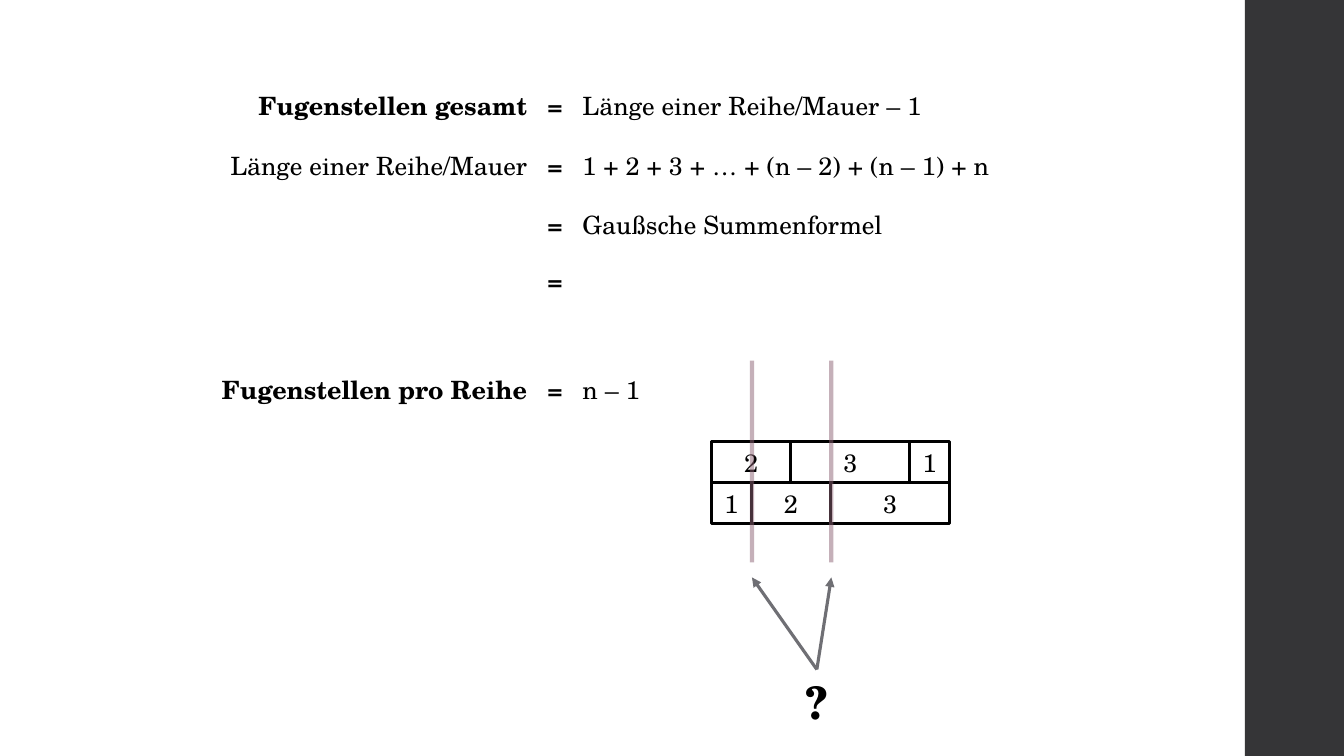
import pptx
import pptx.util
import pptx.dml.color
import pptx.enum.shapes
import pptx.enum.text
import pptx.oxml
import pptx.oxml.ns

COLOURS = {
    "text": "000000",
    "paper": "FFFFFF",
    "sidebar": "353537",
    "joint": "8D6374",
    "arrow": "6F6F74",
}
Cm = pptx.util.Cm
ALIGN = pptx.enum.text.PP_ALIGN

LINE_HEIGHT = 1.02
EQUALS_LEFT, EQUALS_WIDTH = 13.54, 0.89
# top, left term and its width, right term and its width, left term is bold
EQUATIONS = [
    (2.16, "Fugenstellen gesamt", 7.39, "Länge einer Reihe/Mauer – 1", 9.3, True),
    (3.66, "Länge einer Reihe/Mauer", 8.05,
     "1 + 2 + 3 + … + (n – 2) + (n – 1) + n", 10.85, False),
    (5.16, "", 0, "Gaußsche Summenformel", 8.15, False),
    (6.55, "", 0, "", 0, False),
    (9.3, "Fugenstellen pro Reihe", 8.31, "n – 1", 1.98, True),
]

WALL_LEFT, WALL_TOP = 17.93, 11.13
BRICK_UNIT, BRICK_HEIGHT = 1.0, 1.03
WALL_ROWS = [(2, 3, 1), (1, 2, 3)]
JOINT_XS = (18.95, 20.95)
JOINT_TOP, JOINT_BOTTOM = 9.09, 14.17
ARROW_TIP_Y = 14.55


def colour(name):
    return pptx.dml.color.RGBColor.from_string(COLOURS[name])


def add_xml(parent, tag, **attributes):
    child = parent.makeelement(pptx.oxml.ns.qn(tag), attributes)
    parent.append(child)
    return child


class SlideBuilder:
    font_name = "TeX Gyre Schola"

    def __init__(self, slide):
        self.slide = slide

    def set_text(self, shape, text, size=18, bold=False, align=ALIGN.LEFT, wrap=False):
        frame = shape.text_frame
        frame.word_wrap = wrap
        frame.auto_size = pptx.enum.text.MSO_AUTO_SIZE.SHAPE_TO_FIT_TEXT
        paragraph = frame.paragraphs[0]
        paragraph.alignment = align
        run = paragraph.add_run()
        run.text = text
        run.font.name = self.font_name
        run.font.size = pptx.util.Pt(size)
        run.font.bold = bold
        run.font.color.rgb = colour("text")

    def label(self, text, left, top, width, height=LINE_HEIGHT, **text_format):
        box = self.slide.shapes.add_textbox(Cm(left), Cm(top), Cm(width), Cm(height))
        self.set_text(box, text, **text_format)
        return box

    def rectangle(self, left, top, width, height, fill, outline=None):
        box = self.slide.shapes.add_shape(
            pptx.enum.shapes.MSO_SHAPE.RECTANGLE,
            Cm(left), Cm(top), Cm(width), Cm(height))
        box.shadow.inherit = False
        box.fill.solid()
        box.fill.fore_color.rgb = colour(fill)
        if outline:
            box.line.color.rgb = colour(outline)
            box.line.width = pptx.util.Pt(2.25)
        else:
            box.line.fill.background()
        return box

    def brick(self, length, left, top):
        box = self.rectangle(left, top, length * BRICK_UNIT, BRICK_HEIGHT,
                             "paper", outline="text")
        self.set_text(box, str(length), align=ALIGN.CENTER, wrap=True)

    def line(self, start, end, stroke, weight):
        connector = self.slide.shapes.add_connector(
            pptx.enum.shapes.MSO_CONNECTOR.STRAIGHT,
            *(Cm(value) for value in (*start, *end)))
        connector.line.color.rgb = colour(stroke)
        connector.line.width = pptx.util.Pt(weight)
        add_xml(connector._element.spPr, "a:effectLst")
        return connector

    def joint(self, x):
        """Draw a half-transparent vertical marker through the wall."""
        marker = self.line((x, JOINT_BOTTOM), (x, JOINT_TOP), "joint", 3)
        rgb = marker.line._ln.find(".//" + pptx.oxml.ns.qn("a:srgbClr"))
        add_xml(rgb, "a:alpha", val="50000")

    def arrow(self, source, tip):
        """Draw an arrow from the top centre of source to tip."""
        start = ((source.left + source.width / 2) / Cm(1), source.top / Cm(1))
        arrow = self.line(start, tip, "arrow", 2.25)
        arrow.begin_connect(source, 0)
        add_xml(arrow.line._ln, "a:tailEnd", type="triangle")


def main():
    deck = pptx.Presentation()
    deck.slide_width, deck.slide_height = Cm(33.87), Cm(19.05)
    builder = SlideBuilder(deck.slides.add_slide(deck.slide_layouts[6]))

    builder.rectangle(31.37, 0, 2.5, 19.05, "sidebar")

    for top, left_term, left_width, right_term, right_width, bold in EQUATIONS:
        if left_term:
            builder.label(left_term, EQUALS_LEFT - left_width, top, left_width,
                          bold=bold, align=ALIGN.RIGHT)
        builder.label("=", EQUALS_LEFT, top, EQUALS_WIDTH,
                      bold=True, align=ALIGN.CENTER)
        if right_term:
            builder.label(right_term, EQUALS_LEFT + EQUALS_WIDTH, top, right_width)

    for row, lengths in enumerate(WALL_ROWS):
        left = WALL_LEFT
        for length in lengths:
            builder.brick(length, left, WALL_TOP + row * BRICK_HEIGHT)
            left += length * BRICK_UNIT

    question = builder.label("?", 20.04, 16.87, 1.09, 1.62, size=32, bold=True)
    for x in JOINT_XS:
        builder.joint(x)
        builder.arrow(question, (x, ARROW_TIP_Y))

    deck.save("out.pptx")


if __name__ == "__main__":
    main()
